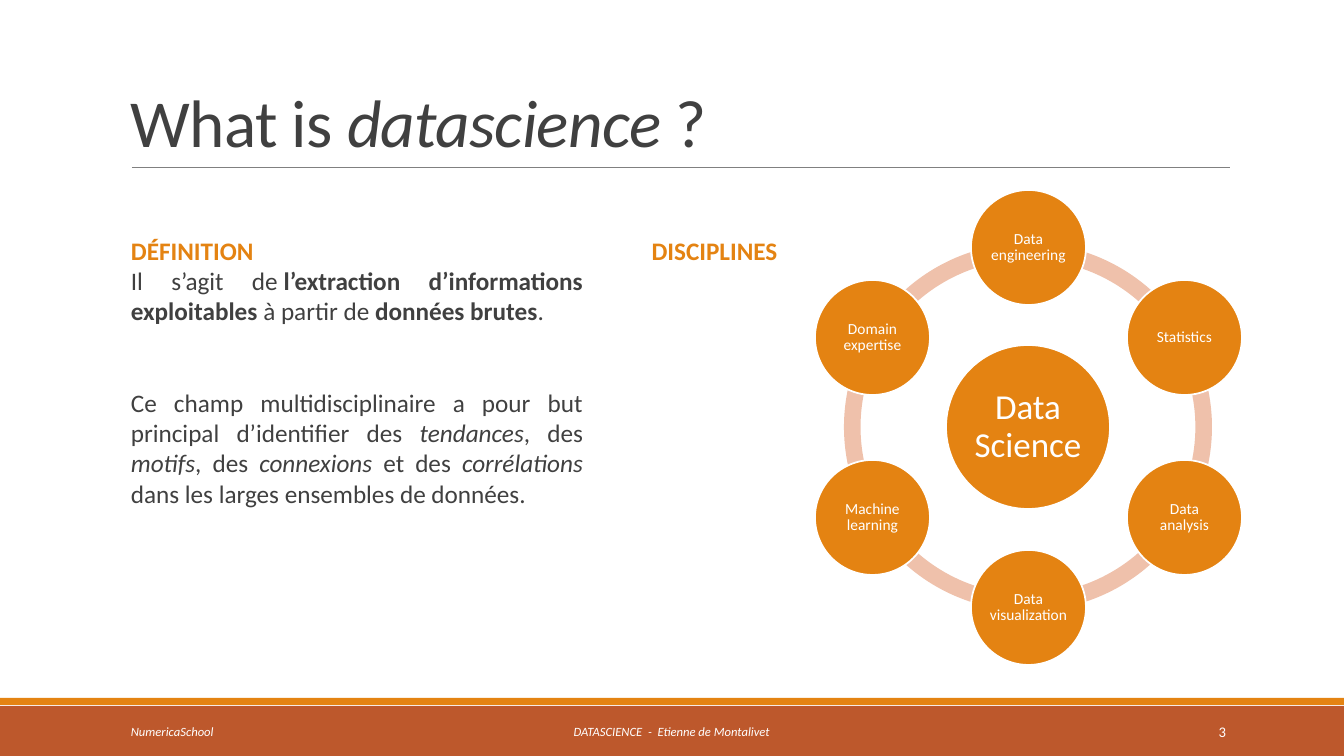
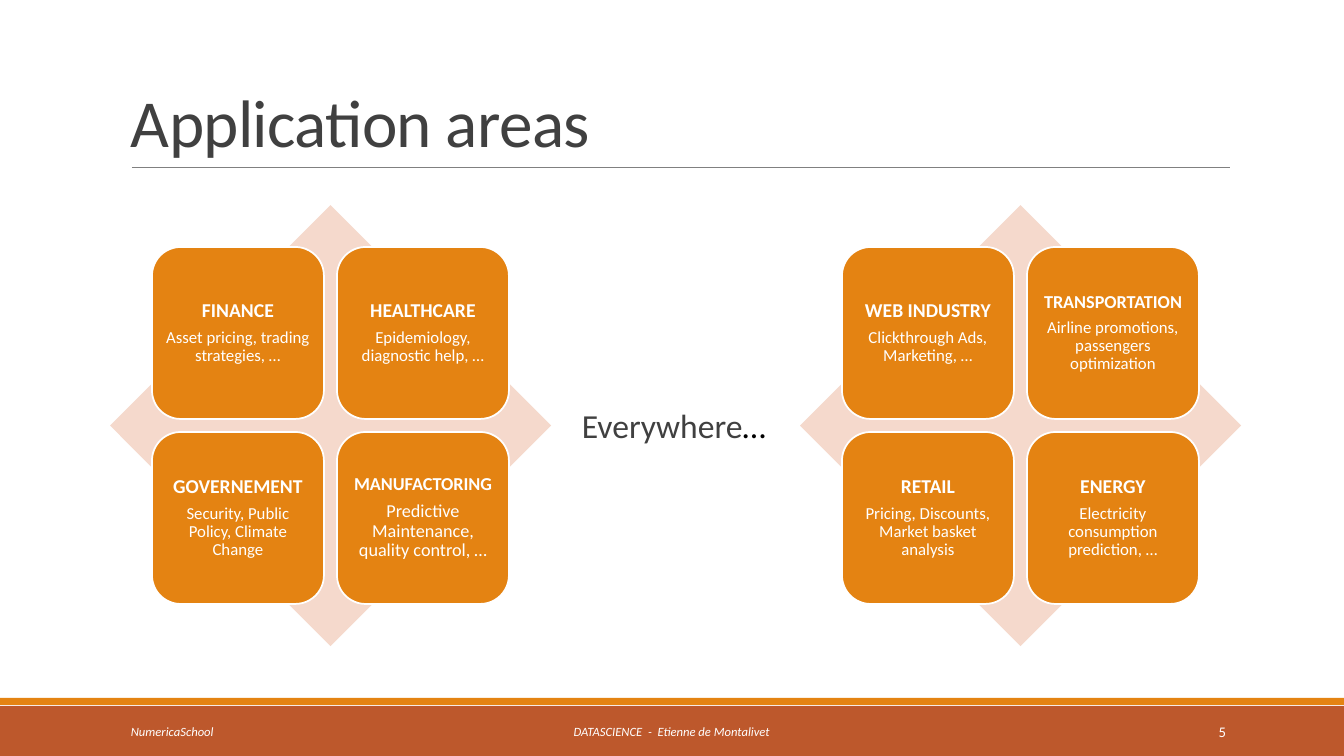
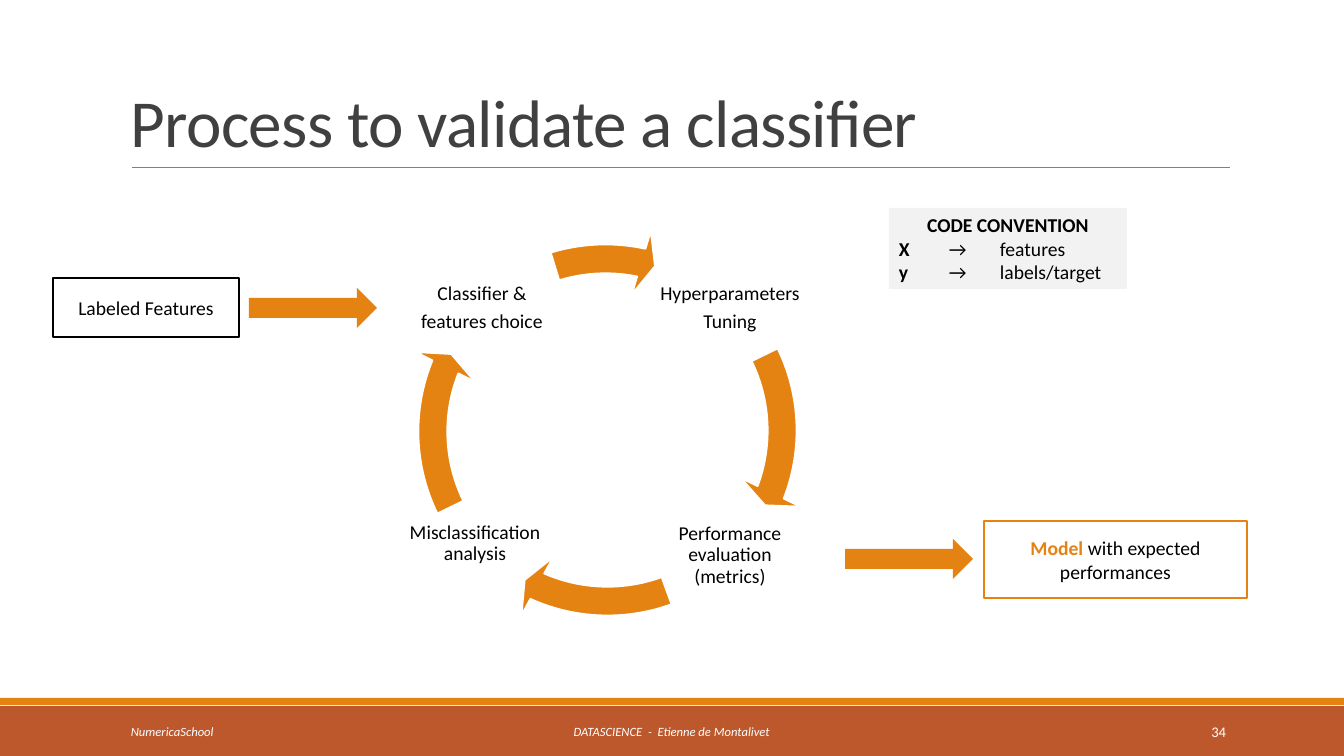
"""Build three slides of a data science course."""
import math

import pptx
import pptx.dml.color
import pptx.enum.shapes
import pptx.enum.text
import pptx.oxml.ns
import pptx.util
from lxml import etree

RGB = pptx.dml.color.RGBColor
SHAPE = pptx.enum.shapes.MSO_SHAPE
ALIGN = pptx.enum.text.PP_ALIGN
ANCHOR = pptx.enum.text.MSO_ANCHOR
Pt = pptx.util.Pt

ORANGE = RGB(0xE4, 0x83, 0x12)
RUST = RGB(0xBD, 0x58, 0x2C)
RING = RGB(0xEF, 0xC1, 0xAB)
DIAMOND = RGB(0xF5, 0xD9, 0xCC)
PALE_GREY = RGB(0xF2, 0xF2, 0xF2)
RULE_GREY = RGB(0x80, 0x80, 0x80)
DARK = RGB(0x40, 0x40, 0x40)
BLACK = RGB(0, 0, 0)
WHITE = RGB(0xFF, 0xFF, 0xFF)
FONT = "Calibri"
EMU_PER_INCH = 914400
PX_PER_INCH = 100.8


def px(length):
    """Turn pixels into EMU."""
    return round(length * EMU_PER_INCH / PX_PER_INCH)


class Deck:
    """Hold the shared style and the current slide."""

    def __init__(self):
        """Start an empty presentation."""
        self.show = pptx.Presentation()
        self.show.slide_width = px(1344)
        self.show.slide_height = px(756)
        self.slide = None

    def page(self, title, number):
        """Add a slide with its title, rule, bands and footer."""
        self.slide = self.show.slides.add_slide(self.show.slide_layouts[6])
        self.shape(SHAPE.RECTANGLE, (0, 706, 1344, 50), RUST)
        self.shape(SHAPE.RECTANGLE, (0, 698, 1344, 7), ORANGE)
        self.rule(132, 1230, 167)
        heading = self.text((121, 31, 1109, 135), [title], 48, anchor=ANCHOR.BOTTOM, spacing=0.85)
        for run in heading.paragraphs[0].runs:
            run.font._element.set("spc", "-50")
        for box, words, size, align, italic in (
            ((121, 712, 272, 40), "NumericaSchool", 9, ALIGN.LEFT, "i"),
            ((406, 712, 531, 40), "DATASCIENCE  -  Etienne de Montalivet", 9, ALIGN.CENTER, "i"),
            ((1092, 712, 144, 40), str(number), 10.5, ALIGN.RIGHT, ""),
        ):
            self.text(box, [[(words, italic)]], size, WHITE, align, ANCHOR.MIDDLE)

    def rule(self, left, right, y):
        """Draw the thin line under the title."""
        line = self.slide.shapes.add_connector(
            pptx.enum.shapes.MSO_CONNECTOR.STRAIGHT, px(left), px(y), px(right), px(y))
        line.line.color.rgb = RULE_GREY
        line.line.width = Pt(0.5)
        etree.SubElement(line._element.spPr, pptx.oxml.ns.qn("a:effectLst"))

    def shape(self, kind, box, fill, outline=None, adjust=()):
        """Add a filled preset shape."""
        shape = self.slide.shapes.add_shape(kind, *map(px, box))
        shape.shadow.inherit = False
        shape.fill.solid()
        shape.fill.fore_color.rgb = fill
        if outline is None:
            shape.line.fill.background()
        else:
            shape.line.color.rgb = outline
            shape.line.width = Pt(1.25)
        for index, value in enumerate(adjust):
            shape.adjustments[index] = value
        return shape

    def text(self, box, paragraphs, size, color=DARK, align=ALIGN.LEFT,
             anchor=ANCHOR.TOP, **options):
        """Add a text box."""
        frame = self.slide.shapes.add_textbox(*map(px, box)).text_frame
        return self.fill_text(frame, paragraphs, size, color, align, anchor, **options)

    def fill_text(self, frame, paragraphs, size, color, align=ALIGN.CENTER,
                  anchor=ANCHOR.MIDDLE, spacing=None, after=0, inset=None):
        """Fill a frame; a paragraph is a string or (text, marks, colour) runs."""
        frame.word_wrap = True
        frame.vertical_anchor = anchor
        if inset is not None:
            frame.margin_left = frame.margin_right = px(inset)
            frame.margin_top = frame.margin_bottom = px(inset)
        for index, content in enumerate(paragraphs):
            paragraph = frame.add_paragraph() if index else frame.paragraphs[0]
            paragraph.alignment = align
            if spacing:
                paragraph.line_spacing = spacing
            if after:
                paragraph.space_after = Pt(after)
            runs = [(content,)] if isinstance(content, str) else content
            for words, *style in runs:
                run = paragraph.add_run()
                run.text = words
                marks = style[0] if style else ""
                font = run.font
                font.name = FONT
                font.size = Pt(size)
                font.bold = "b" in marks
                font.italic = "i" in marks
                font.color.rgb = style[1] if len(style) > 1 else color
        return frame

    def disc(self, x, y, diameter, words, size):
        """Add a labelled circle around a centre."""
        box = (x - diameter // 2, y - diameter // 2, diameter, diameter)
        circle = self.shape(SHAPE.OVAL, box, ORANGE, WHITE)
        self.fill_text(circle.text_frame, [words], size, WHITE, spacing=0.9, inset=2)

    def card_matrix(self, left, cards):
        """Add a diamond with four cards on it."""
        self.shape(SHAPE.DIAMOND, (left, 205, 441, 441), DIAMOND)
        for index, (area, examples, area_size, example_size) in enumerate(cards):
            row, column = divmod(index, 2)
            box = (left + 42 + 185 * column, 247 + 185 * row, 172, 172)
            card = self.shape(SHAPE.ROUNDED_RECTANGLE, box, ORANGE, WHITE)
            frame = self.fill_text(card.text_frame, [[(area, "b")], examples], area_size, WHITE,
                                   spacing=0.9, after=5, inset=5)
            frame.paragraphs[1].runs[0].font.size = Pt(example_size)

    def step(self, box, paragraphs):
        """Add the label of a step in the cycle."""
        self.text(box, paragraphs, 14, BLACK, ALIGN.CENTER, ANCHOR.MIDDLE,
                  spacing=0.9, after=5, inset=2)

    def cycle_arrow(self, left, top, start, end):
        """Add a curved arrow between two angles in degrees."""
        per_degree = 0.6
        adjust = (0.07, 4.66 * per_degree, end * per_degree, start * per_degree, 0.08)
        self.shape(SHAPE.CIRCULAR_ARROW, (left, top, 411, 411), ORANGE, WHITE, adjust)

    def framed(self, box, runs, outline):
        """Add a white box with an outline."""
        frame = self.shape(SHAPE.RECTANGLE, box, WHITE, outline).text_frame
        self.fill_text(frame, [runs], 14, BLACK, inset=10)

    def tab_stops(self, paragraph, stops):
        """Set the left tab stops of a paragraph."""
        tabs = etree.SubElement(paragraph._p.get_or_add_pPr(), pptx.oxml.ns.qn("a:tabLst"))
        for stop in stops:
            etree.SubElement(tabs, pptx.oxml.ns.qn("a:tab"), pos=str(px(stop)), algn="l")


def definition(deck):
    """Build the definition slide."""
    deck.page([("What is ",), ("datascience", "i"), (" ?",)], 3)
    body = deck.text((121, 230, 472, 285), [
        [("DÉFINITION", "b", ORANGE)],
        [("Il s’agit de\u00a0",), ("l’extraction d’informations exploitables", "b"),
         ("\u00a0à partir de\u00a0",), ("données brutes", "b"), (".",)],
        [("Ce champ multidisciplinaire a pour but principal d’identifier des ",),
         ("tendances", "i"), (", des ",), ("motifs", "i"), (", des ",),
         ("connexions ", "i"), ("et des ",), ("corrélations", "i"),
         (" dans les larges ensembles de données.",)],
    ], 18, align=ALIGN.JUSTIFY)
    body.paragraphs[2].space_before = Pt(44)
    deck.text((593, 230, 243, 42), [[("DISCIPLINES", "b")]], 18, ORANGE, ALIGN.CENTER)
    deck.shape(SHAPE.DONUT, (844, 243, 368, 368), RING, adjust=(0.045,))
    center_x, center_y, radius = 1028, 427, 180
    deck.disc(center_x, center_y, 164, "Data Science", 25)
    disciplines = ("Data engineering", "Statistics", "Data analysis",
                   "Data visualization", "Machine learning", "Domain expertise")
    for index, discipline in enumerate(disciplines):
        angle = math.tau * index / len(disciplines)
        deck.disc(round(center_x + radius * math.sin(angle)),
                  round(center_y - radius * math.cos(angle)), 115, discipline, 11)


def applications(deck):
    """Build the application areas slide."""
    deck.page("Application areas", 5)
    deck.card_matrix(110, (
        ("FINANCE", "Asset pricing, trading strategies, …", 14, 12),
        ("HEALTHCARE", "Epidemiology, diagnostic help, …", 14, 12),
        ("GOVERNEMENT", "Security, Public Policy, Climate Change", 14, 12),
        ("MANUFACTORING", "Predictive Maintenance, quality control, …", 13, 13),
    ))
    deck.text((572, 400, 215, 50), [[("Everywhere",), ("…", "", BLACK)]], 24)
    deck.card_matrix(800, (
        ("WEB INDUSTRY", "Clickthrough Ads, Marketing, …", 14, 12),
        ("TRANSPORTATION", "Airline promotions, passengers optimization", 13, 12),
        ("RETAIL", "Pricing, Discounts, Market basket analysis", 14, 12),
        ("ENERGY", "Electricity consumption prediction, …", 14, 12),
    ))


def validation(deck):
    """Build the classifier validation slide."""
    deck.page("Process to validate a classifier", 34)
    deck.framed((53, 278, 186, 59), [("Labeled Features",)], BLACK)
    deck.framed((984, 521, 263, 77),
                [("Model", "b", ORANGE), (" with expected performances",)], ORANGE)
    for left, top in ((249, 288), (845, 539)):
        deck.shape(SHAPE.RIGHT_ARROW, (left, top, 128, 40), ORANGE)
    deck.step((657, 262, 146, 93), ["Hyperparameters", "Tuning"])
    deck.step((671, 506, 118, 99), ["Performance evaluation (metrics)"])
    deck.step((402, 504, 146, 79), ["Misclassification analysis"])
    deck.step((409, 265, 146, 87), ["Classifier &", "features choice"])
    for left, top, start, end in ((400, 226, 253, 282), (404, 225, 334, 21),
                                  (402, 223, 70, 114), (400, 226, 154, 202)):
        deck.cycle_arrow(left, top, start, end)
    legend = deck.shape(SHAPE.RECTANGLE, (889, 208, 238, 81), PALE_GREY).text_frame
    deck.fill_text(legend, [
        [("CODE CONVENTION", "b")],
        [("X\t", "b"), ("→\tfeatures",)],
        [("y\t", "b"), ("→\tlabels/target",)],
    ], 14, BLACK, ALIGN.LEFT, ANCHOR.TOP)
    legend.paragraphs[0].alignment = ALIGN.CENTER
    for convention in legend.paragraphs[1:]:
        deck.tab_stops(convention, (50, 101))


def main():
    """Build and save the deck."""
    deck = Deck()
    definition(deck)
    applications(deck)
    validation(deck)
    deck.show.save("out.pptx")


if __name__ == "__main__":
    main()
